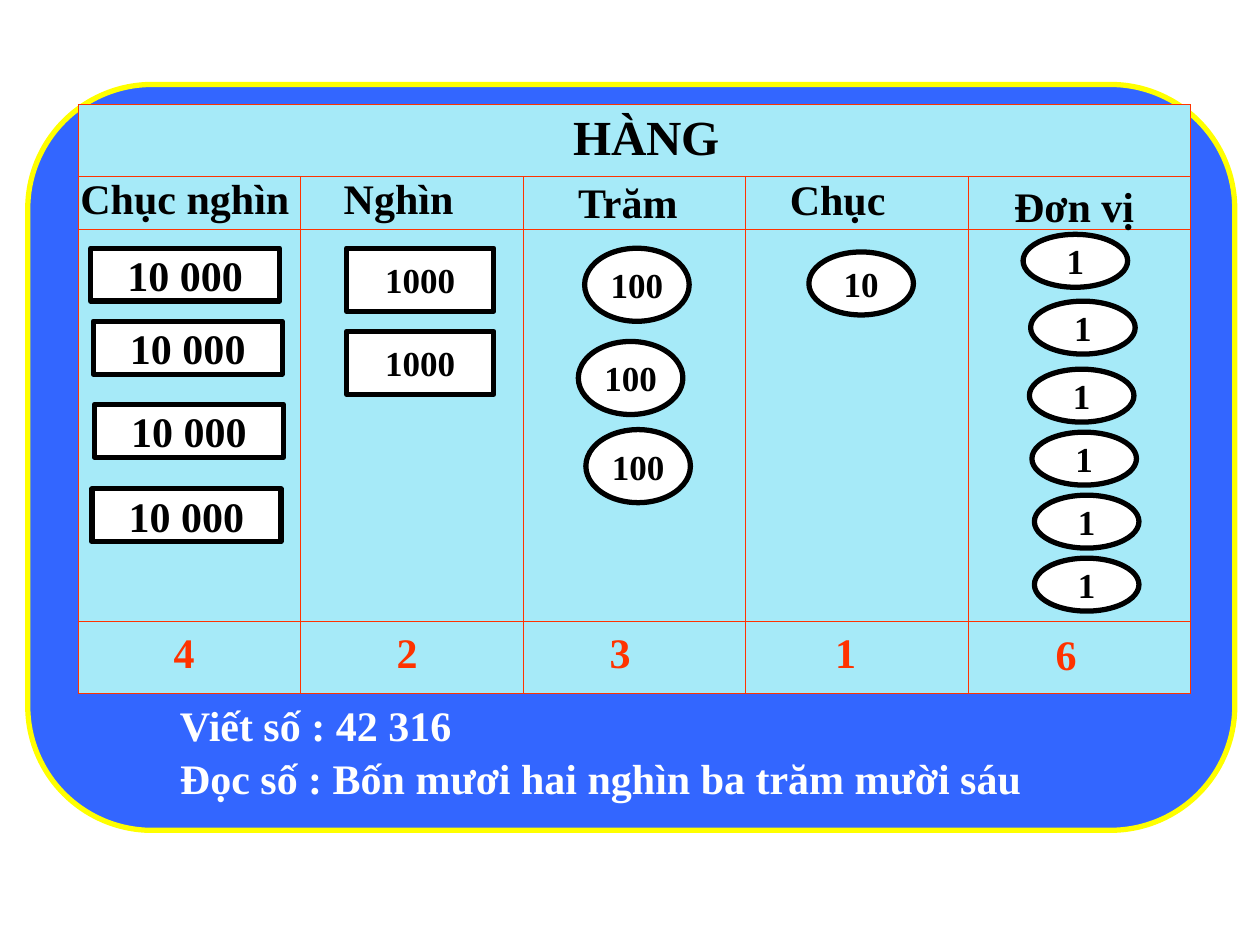
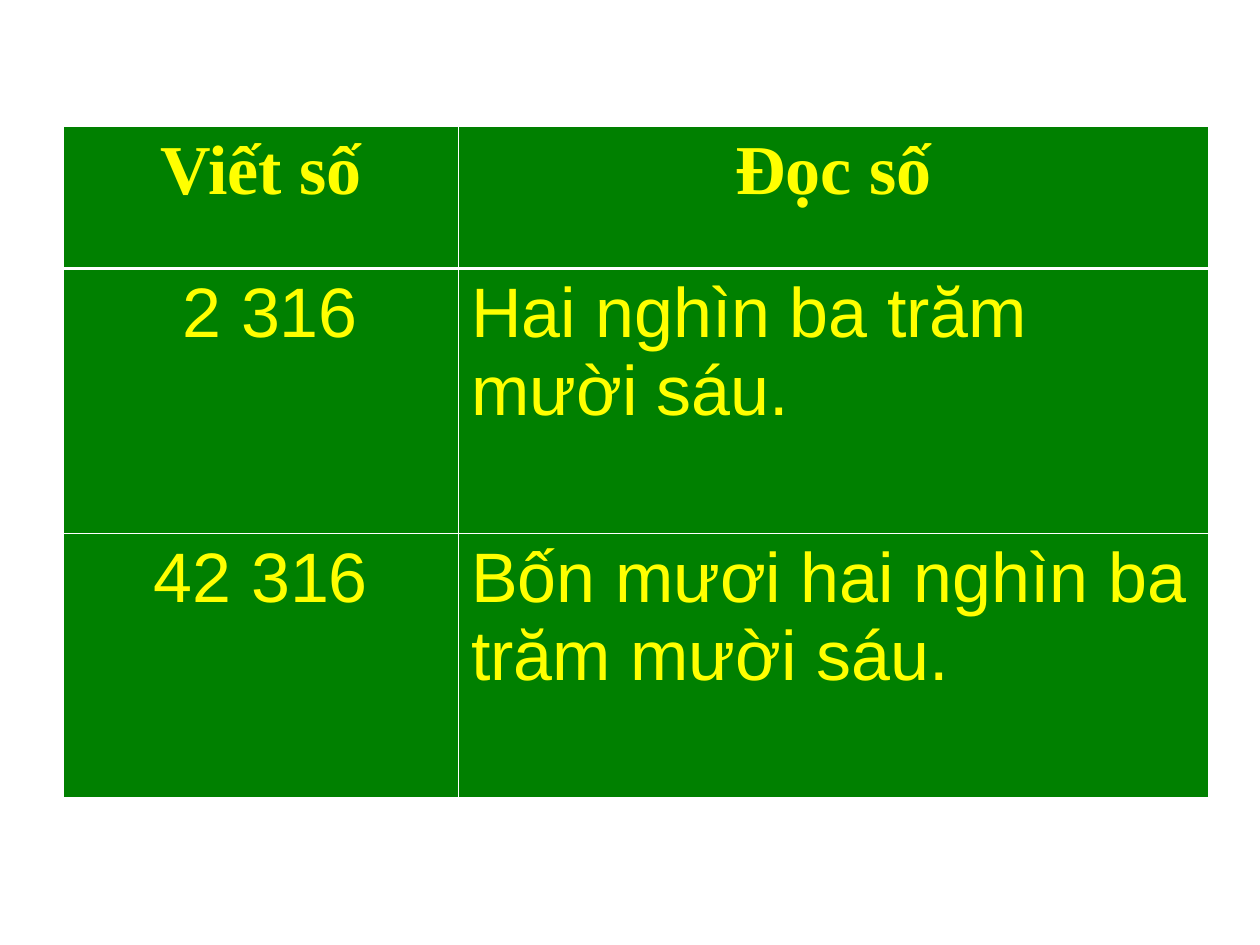
from dataclasses import dataclass

import lxml.etree
import pptx
import pptx.dml.color
import pptx.enum.shapes
import pptx.enum.text
import pptx.oxml.ns
import pptx.util
from pptx.util import Inches

SERIF, SANS = "Times New Roman", "Arial"
BLACK, WHITE, YELLOW, RED = "000000", "FFFFFF", "FFFF00", "FF3300"
BLUE, PALE_BLUE, GREEN = "3366FF", "A6EAF8", "008000"
SHAPES = pptx.enum.shapes.MSO_SHAPE
CENTER = pptx.enum.text.PP_ALIGN.CENTER
LEFT = pptx.enum.text.PP_ALIGN.LEFT
THIN, THICK = 0.45, 1.47


@dataclass
class CounterStack:
    """The counters of one place value, with the left and top of each."""
    value: str
    shape: int
    width: float
    height: float
    places: list[tuple[float, float]]
    size: int = 20


@dataclass
class Label:
    text: str
    left: float
    top: float
    width: float
    color: str = BLACK
    size: int = 24


STACKS = [
    CounterStack("10 000", SHAPES.RECTANGLE, 1.5, 0.42,
                 [(0.72, 1.97), (0.74, 2.55), (0.75, 3.21), (0.73, 3.88)], 24),
    CounterStack("1000", SHAPES.RECTANGLE, 1.17, 0.5,
                 [(2.75, 1.97), (2.75, 2.63)]),
    CounterStack("100", SHAPES.OVAL, 0.83, 0.58,
                 [(4.64, 1.97), (4.59, 2.71), (4.65, 3.41)]),
    CounterStack("10", SHAPES.OVAL, 0.83, 0.5, [(6.42, 2)]),
    CounterStack("1", SHAPES.OVAL, 0.83, 0.42,
                 [(8.12, 1.86), (8.18, 2.39), (8.17, 2.93),
                  (8.19, 3.43), (8.21, 3.93), (8.21, 4.43)]),
]

LABELS = [
    Label("HÀNG", 4.45, 0.8, 1.83, size=28),
    # Place names
    Label("Chục nghìn", 0.54, 1.32, 2.5),
    Label("Nghìn", 2.63, 1.32, 1.5),
    Label("Trăm", 4.49, 1.35, 1.5),
    Label("Chục", 6.17, 1.33, 1.33),
    Label("Đơn vị", 7.95, 1.38, 1.5),
    # Digits
    Label("4", 1.28, 4.92, 0.59, RED),
    Label("2", 3.05, 4.92, 0.59, RED),
    Label("3", 4.74, 4.92, 0.59, RED),
    Label("1", 6.53, 4.92, 0.59, RED),
    Label("6", 8.28, 4.94, 0.59, RED),
    # Number in figures and in words
    Label("Viết số : 42 316", 1.33, 5.5, 3.58, WHITE),
    Label("Đọc số : Bốn mươi hai nghìn ba trăm mười sáu", 1.33, 5.92, 7.42, WHITE),
]

READINGS = [
    ("Viết số", "Đọc số"),
    ("2 316", "Hai nghìn ba trăm mười sáu."),
    ("42 316", "Bốn mươi hai nghìn ba trăm mười sáu."),
]


def rgb(color: str) -> pptx.dml.color.RGBColor:
    return pptx.dml.color.RGBColor.from_string(color)


def write(frame, text: str, *, size: int, color: str = BLACK, font: str = SERIF,
          bold: bool = True, align: int = LEFT) -> None:
    para = frame.paragraphs[0]
    para.alignment = align
    span = para.add_run()
    span.text = text
    span.font.name = font
    span.font.size = pptx.util.Pt(size)
    span.font.bold = bold
    span.font.color.rgb = rgb(color)


def add_outlined(shapes, kind: int, left: float, top: float, width: float,
                 height: float, fill: str, line: str):
    shape = shapes.add_shape(kind, Inches(left), Inches(top),
                             Inches(width), Inches(height))
    shape.shadow.inherit = False
    shape.fill.solid()
    shape.fill.fore_color.rgb = rgb(fill)
    shape.line.color.rgb = rgb(line)
    shape.line.width = pptx.util.Pt(3)
    return shape


def add_stack(page, stack: CounterStack) -> None:
    group = page.shapes.add_group_shape()
    for left, top in stack.places:
        counter = add_outlined(group.shapes, stack.shape, left, top,
                               stack.width, stack.height, WHITE, BLACK)
        frame = counter.text_frame
        frame.word_wrap = False
        frame.vertical_anchor = pptx.enum.text.MSO_ANCHOR.MIDDLE
        write(frame, stack.value, size=stack.size, align=CENTER)


def add_label(page, label: Label) -> None:
    box = page.shapes.add_textbox(Inches(label.left), Inches(label.top),
                                  Inches(label.width), Inches(0.5))
    box.text_frame.word_wrap = True
    write(box.text_frame, label.text, size=label.size, color=label.color)


def paint_cell(cell, fill: str, border: str, top: float = THIN,
               bottom: float = THIN) -> None:
    properties = cell._tc.get_or_add_tcPr()
    qn = pptx.oxml.ns.qn
    for side, points in (("L", THIN), ("R", THIN), ("T", top), ("B", bottom)):
        line = lxml.etree.SubElement(properties, qn(f"a:ln{side}"),
                                     w=str(pptx.util.Pt(points)))
        solid = lxml.etree.SubElement(line, qn("a:solidFill"))
        lxml.etree.SubElement(solid, qn("a:srgbClr"), val=border)
    cell.fill.solid()
    cell.fill.fore_color.rgb = rgb(fill)


def add_plain_table(page, left: float, top: float, width: float,
                    row_heights: list[float], columns: int):
    frame = page.shapes.add_table(len(row_heights), columns, Inches(left), Inches(top),
                                  Inches(width), Inches(sum(row_heights)))
    table = frame.table
    table.first_row = table.horz_banding = False
    for row, height in zip(table.rows, row_heights):
        row.height = Inches(height)
    return table


def build_place_values(page) -> None:
    add_outlined(page.shapes, SHAPES.FLOWCHART_ALTERNATE_PROCESS,
                 0.22, 0.67, 9.58, 5.92, BLUE, YELLOW)
    table = add_plain_table(page, 0.62, 0.83, 8.83, [0.57, 0.42, 3.11, 0.57], len(STACKS))
    for cell in table.iter_cells():
        paint_cell(cell, PALE_BLUE, RED)
    table.cell(0, 0).merge(table.cell(0, len(STACKS) - 1))
    for stack in STACKS:
        add_stack(page, stack)
    for label in LABELS:
        add_label(page, label)


def build_readings(page) -> None:
    table = add_plain_table(page, 0.5, 1, 9.08, [1.13, 2.1, 2.1], 2)
    for column, width in zip(table.columns, (3.14, 5.95)):
        column.width = Inches(width)
    for row, texts in enumerate(READINGS):
        heading = row == 0
        for column, text in enumerate(texts):
            cell = table.cell(row, column)
            paint_cell(cell, GREEN, WHITE, top=THICK if row == 1 else THIN,
                       bottom=THICK if heading else THIN)
            write(cell.text_frame, text, size=40, color=YELLOW, bold=heading,
                  font=SERIF if heading else SANS,
                  align=CENTER if heading or column == 0 else LEFT)
    # The shorter number sits a little right of centre
    table.cell(1, 0).margin_left = Inches(0.25)


def main() -> None:
    deck = pptx.Presentation()
    deck.slide_width, deck.slide_height = Inches(10), Inches(7.5)
    for build in (build_place_values, build_readings):
        build(deck.slides.add_slide(deck.slide_layouts[6]))
    deck.save("out.pptx")


if __name__ == "__main__":
    main()
